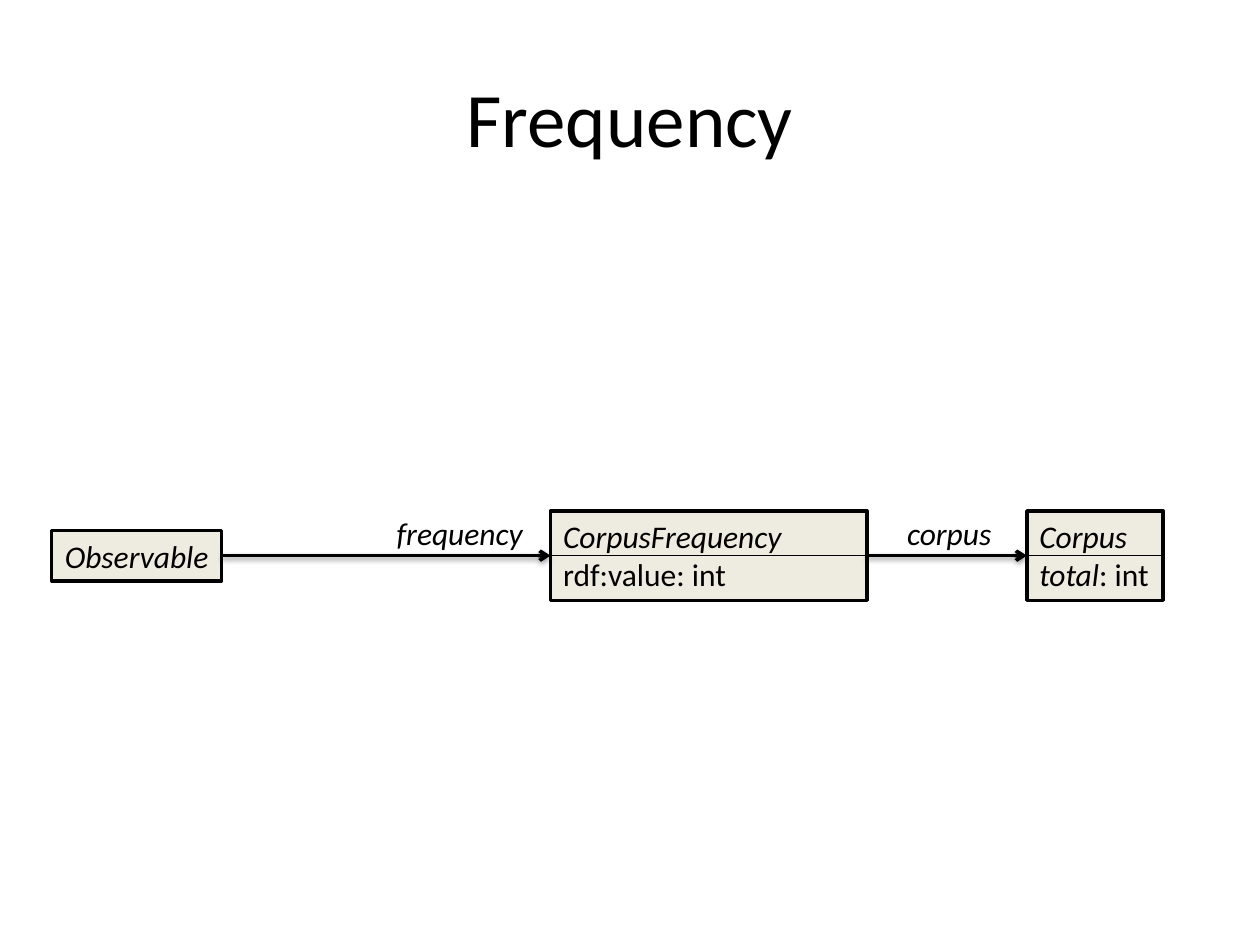
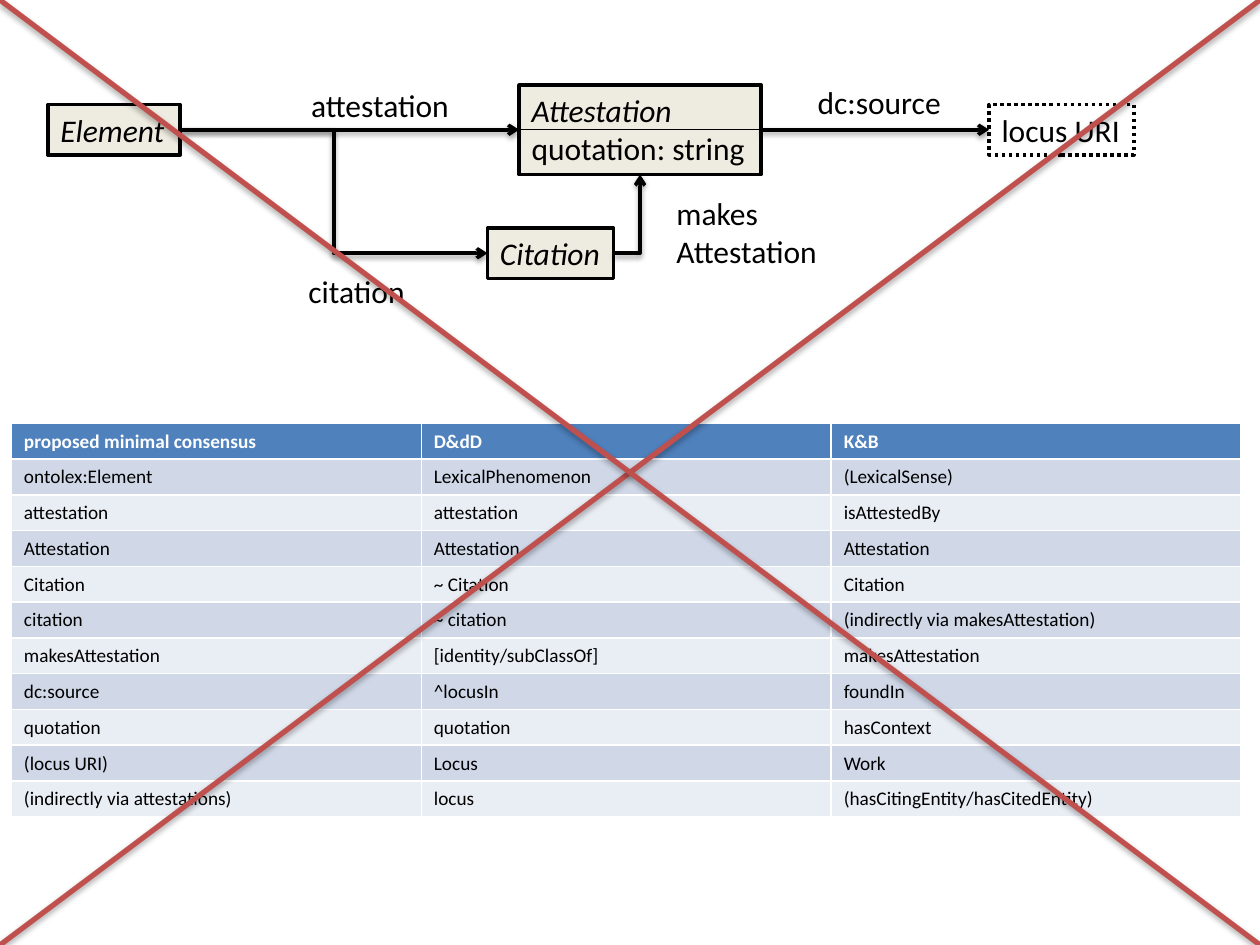
from collections import namedtuple

from pptx import Presentation
from pptx.dml.color import RGBColor as RGB
from pptx.enum.dml import MSO_LINE as DASH
from pptx.enum.shapes import MSO_CONNECTOR as CONN, MSO_SHAPE as SHAPE
from pptx.enum.text import MSO_ANCHOR as ANCHOR, MSO_AUTO_SIZE as FIT, PP_ALIGN as ALIGN
from pptx.oxml import parse_xml
from pptx.oxml.ns import nsdecls, qn
from pptx.util import Inches, Pt

COLORS = {
    "ink": "000000", "paper": "FFFFFF", "node": "EEECE1", "cross": "C0504D",
    "head": "4F81BD", "odd": "D0D8E8", "even": "E9EDF4",
}
FONT = "Calibri"
COLS, ROWS = 100, 75                # square grid cells over the whole slide
ONE_LINE, TWO_LINES = 4, 7.1        # box heights in grid rows
TOP, LEFT, BOTTOM, RIGHT = range(4)  # connection sites of a rectangle

prs = Presentation()
prs.slide_width, prs.slide_height = Inches(10), Inches(7.5)
CELL = prs.slide_width // COLS


class Box(namedtuple("Box", "x y w h")):
    """An area of the slide, in grid cells."""

    def inner(self, x, y, w, h):
        """Return an area offset from this one's top left corner."""
        return Box(self.x + x, self.y + y, w, h)

    def emu(self):
        """Return left, top, width and height as slide lengths."""
        return [round(v * CELL) for v in self]


def rgb(name):
    """Return a palette colour."""
    return RGB.from_string(COLORS[name])


def apply(target, **values):
    """Set several attributes on one object."""
    for name, value in values.items():
        setattr(target, name, value)


def write(tf, lines, size=18, color="ink", align=ALIGN.LEFT, bold=False):
    """Fill a frame; each line is a list of (text, italic) runs."""
    for i, runs in enumerate(lines):
        p = tf.paragraphs[0] if i == 0 else tf.add_paragraph()
        p.alignment = align
        for text, italic in runs:
            r = p.add_run()
            r.text = text
            apply(r.font, name=FONT, size=Pt(size), bold=bold, italic=italic)
            r.font.color.rgb = rgb(color)


def title(s, box, text):
    """Write the centred slide title."""
    tf = s.shapes.add_textbox(*box.emu()).text_frame
    apply(tf, word_wrap=True, vertical_anchor=ANCHOR.MIDDLE)
    write(tf, [[(text, False)]], size=44, align=ALIGN.CENTER)


def label(s, box, *texts, italic=False):
    """Write a relation name, one paragraph for each text."""
    tf = s.shapes.add_textbox(*box.emu()).text_frame
    apply(tf, word_wrap=False, auto_size=FIT.SHAPE_TO_FIT_TEXT)
    write(tf, [[(t, italic)] for t in texts])


def node(s, box, x, axis, w, *lines, dotted=False, align=ALIGN.LEFT):
    """Draw a class box centred on a row; a second line gets a divider."""
    h = TWO_LINES if len(lines) > 1 else ONE_LINE
    area = box.inner(x, axis - h / 2, w, h)
    sp = s.shapes.add_shape(SHAPE.RECTANGLE, *area.emu())
    sp.shadow.inherit = False
    sp.line.color.rgb = rgb("ink")
    sp.line.width = Pt(2)
    if dotted:
        sp.fill.background()
        sp.line.dash_style = DASH.ROUND_DOT
    else:
        sp.fill.solid()
        sp.fill.fore_color.rgb = rgb("node")
    tf = sp.text_frame
    apply(tf, word_wrap=False, auto_size=FIT.SHAPE_TO_FIT_TEXT, vertical_anchor=ANCHOR.TOP)
    write(tf, lines, align=align)
    if len(lines) > 1:
        left, mid, width, _ = area.inner(0, h / 2, w, 0).emu()
        line(s, CONN.STRAIGHT, (left, mid, left + width, mid), width=0.75)
    return sp


def line(s, kind, ends, color="ink", width=2.0, shadow=None):
    """Draw a connector; shadow is its (distance, opacity percent)."""
    c = s.shapes.add_connector(kind, *ends)
    c.line.color.rgb = rgb(color)
    c.line.width = Pt(width)
    effect = ""
    if shadow:
        dist, opacity = shadow
        effect = (f'<a:outerShdw blurRad="{Pt(3.1)}" dist="{Pt(dist)}" dir="5400000" '
                  f'rotWithShape="0"><a:srgbClr val="{COLORS["ink"]}">'
                  f'<a:alpha val="{opacity * 1000}"/></a:srgbClr></a:outerShdw>')
    c._element.spPr.append(parse_xml(f'<a:effectLst {nsdecls("a")}>{effect}</a:effectLst>'))
    return c


def link(s, start, end, kind=CONN.ELBOW, to=LEFT):
    """Join the right side of one node to a side of another with an arrow."""
    c = line(s, kind, (0, 0, 0, 0), shadow=(1.6, 38))
    c.begin_connect(start, RIGHT)
    c.end_connect(end, to)
    ln = c._element.spPr.find(qn("a:ln"))
    ln.append(parse_xml(f'<a:tailEnd type="arrow" {nsdecls("a")}/>'))
    if to == BOTTOM:                # a single bend
        c._element.spPr.find(qn("a:prstGeom")).set("prst", "bentConnector2")


def frequency_diagram(s, box):
    """Draw Observable, CorpusFrequency and Corpus in a row."""
    axis = 3.8
    observable = node(s, box, 0, axis, 13.5, [("Observable", True)], align=ALIGN.CENTER)
    freq = node(s, box, 39.6, axis, 25.1,
                [("CorpusFrequency", True)], [("rdf:value: int", False)])
    corpus = node(s, box, 77.4, axis, 10.8,
                  [("Corpus", True)], [("total", True), (": int", False)])
    link(s, observable, freq)
    link(s, freq, corpus, CONN.STRAIGHT)
    for text, x, w in (("frequency", 26.4, 12.4), ("corpus", 66.9, 8.9)):
        label(s, box.inner(x, 0, w, ONE_LINE), text, italic=True)


def attestation_diagram(s, box):
    """Draw Element, Attestation and locus in a row, Citation below."""
    axis, low_axis = 4.2, 14
    element = node(s, box, 0, axis, 10.5, [("Element", True)])
    attestation = node(s, box, 37.4, axis, 19.2,
                       [("Attestation", True)], [("quotation: string", False)])
    citation = node(s, box, 34.9, low_axis, 10, [("Citation", True)])
    locus = node(s, box, 74.7, axis, 11.5, [("locus URI", False)], dotted=True)
    link(s, element, attestation)
    link(s, attestation, locus)
    link(s, element, citation)
    link(s, citation, attestation, to=BOTTOM)
    for texts, x, y, w in ((["attestation"], 19.9, 0.2, 13.1),
                           (["dc:source"], 60.1, 0, 11.9),
                           (["citation"], 19.7, 15, 9.7),
                           (["makes", "Attestation"], 48.9, 8.8, 13.3)):
        h = ONE_LINE if len(texts) == 1 else TWO_LINES
        label(s, box.inner(x, y, w, h), *texts)


def comparison(s, box, rows):
    """Draw the banded table with equal columns and rows."""
    n = len(rows)
    table = s.shapes.add_table(n, len(rows[0]), *box.emu()).table
    for i, texts in enumerate(rows):
        head = i == 0
        fill = "head" if head else "odd" if i % 2 else "even"
        for cell, text in zip(table.rows[i].cells, texts):
            cell.fill.solid()
            cell.fill.fore_color.rgb = rgb(fill)
            write(cell.text_frame, [[(text, False)]], size=11,
                  color="paper" if head else "ink", bold=head)


def cross_out(s, box):
    """Strike the area through with two diagonals."""
    x, y, w, h = box.emu()
    for y1, y2 in ((y + h, y), (y, y + h)):
        line(s, CONN.STRAIGHT, (x, y1, x + w, y2), "cross", 3, (1.8, 35))


TERMS = [
    ("proposed minimal consensus", "D&dD", "K&B"),
    ("ontolex:Element", "LexicalPhenomenon", "(LexicalSense)"),
    ("attestation", "attestation", "isAttestedBy"),
    ("Attestation", "Attestation", "Attestation"),
    ("Citation", "~ Citation", "Citation"),
    ("citation", "~ citation", "(indirectly via makesAttestation)"),
    ("makesAttestation", "[identity/subClassOf]", "makesAttestation"),
    ("dc:source", "^locusIn", "foundIn"),
    ("quotation", "quotation", "hasContext"),
    ("(locus URI)", "Locus", "Work"),
    ("(indirectly via attestations)", "locus", "(hasCitingEntity/hasCitedEntity)"),
]

blank = prs.slide_layouts[6]

s = prs.slides.add_slide(blank)
title(s, Box(5, 3, 90, 12.5), "Frequency")
frequency_diagram(s, Box(4.1, 40.3, 88.2, 7.3))

s = prs.slides.add_slide(blank)
attestation_diagram(s, Box(3.8, 6.1, 86.2, 19))
comparison(s, Box(0.9, 33.6, 97.6, 31.2), TERMS)
cross_out(s, Box(0, 0, COLS, ROWS))

prs.save("out.pptx")
